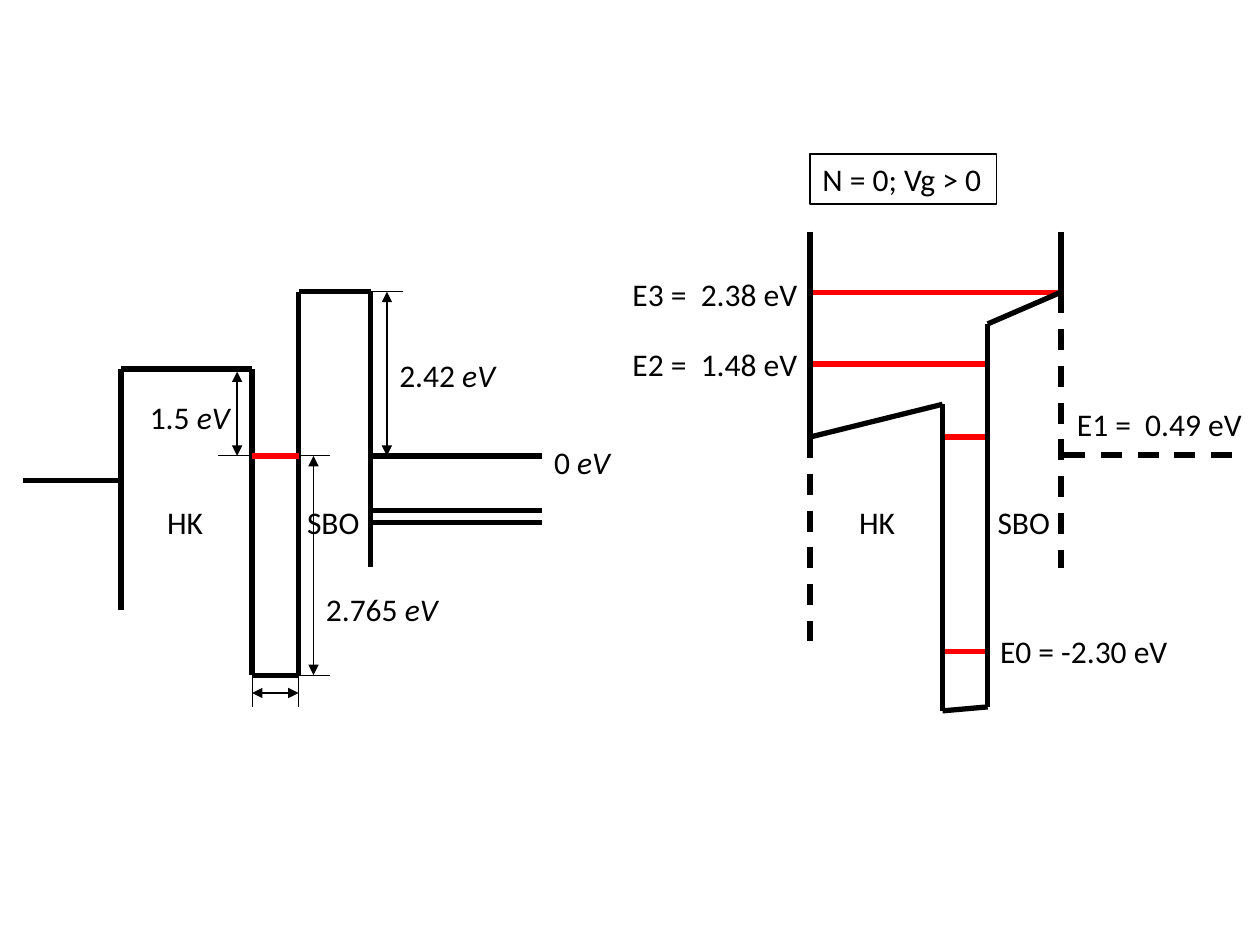
from pptx import Presentation
from pptx.dml.color import RGBColor
from pptx.enum.dml import MSO_LINE
from pptx.enum.shapes import MSO_CONNECTOR, MSO_SHAPE
from pptx.enum.text import MSO_ANCHOR, MSO_AUTO_SIZE, PP_ALIGN
from pptx.oxml.ns import qn
from pptx.util import Cm, Pt
from lxml.etree import SubElement

BLACK, RED, WHITE = "000000", "FF0000", "FFFFFF"
color = RGBColor.from_string

deck = Presentation()
deck.slide_width, deck.slide_height = Cm(25.4), Cm(19.05)
slide = deck.slides.add_slide(deck.slide_layouts[6])
shapes = slide.shapes


def draw(ends, hue=BLACK, width=3, dash=False, arrows=False):
    x1, y1, x2, y2 = map(Cm, ends)
    wire = shapes.add_connector(MSO_CONNECTOR.STRAIGHT, x1, y1, x2, y2)
    wire.line.color.rgb = color(hue)
    wire.line.width = Pt(width)
    if dash:
        wire.line.dash_style = MSO_LINE.DASH
    if arrows:
        for tag in ("a:headEnd", "a:tailEnd"):
            SubElement(wire.line._get_or_add_ln(), qn(tag), type="triangle")
    SubElement(wire._element.spPr, qn("a:effectLst"))


def write(shape, runs):
    frame = shape.text_frame
    frame.word_wrap = False
    frame.auto_size = MSO_AUTO_SIZE.SHAPE_TO_FIT_TEXT
    frame.vertical_anchor = MSO_ANCHOR.TOP
    para = frame.paragraphs[0]
    para.alignment = PP_ALIGN.LEFT
    for text, slant in runs:
        run = para.add_run()
        run.text = text
        font = run.font
        font.name, font.size = "Calibri", Pt(18)
        font.color.rgb = color(BLACK)
        if slant:
            font.italic = True


# Shared positions: flat-band diagram on the left, biased one on the right
gate, well, wall, edge, end = 2.44, 5.08, 6.02, 7.47, 10.92
left, inner, outer, right = 16.33, 19, 19.91, 21.39
top, zero, base, foot = 5.88, 9.19, 13.61, 14.25
rise, peak, drop = 4.67, 7.44, 8.81

# Biased diagram: energy levels
for x1, x2, y in [(outer, left, 7.34), (right, left, 5.89),
                  (outer, inner, 13.13), (outer, inner, drop)]:
    draw((x1, y, x2, y), RED)

# Biased diagram: band edges
for ends in [(right, rise, right, 5.89), (right, 5.89, outer, 6.53),
             (inner, 8.15, left, drop), (outer, foot, inner, 14.33),
             (left, rise, left, drop), (outer, 6.53, outer, foot),
             (inner, 8.15, inner, 14.33)]:
    draw(ends)
for ends in [(right, 5.89, right, 11.46), (left, drop, left, 12.93),
             (24.84, 9.17, right, 9.17)]:
    draw(ends, dash=True)

# Flat-band diagram: band edges
for ends in [(wall, top, wall, base), (edge, top, edge, 11.43),
             (edge, top, wall, top), (gate, 9.68, 0.46, 9.68),
             (well, peak, well, base), (well, peak, gate, peak),
             (wall, base, well, base), (gate, peak, gate, 12.29)]:
    draw(ends)
for y in (zero, 10.29, 10.54):
    draw((end, y, edge, y))
draw((wall, zero, well, zero), RED)

# Flat-band diagram: dimension arrows and their guide lines
for ends in [(7.8, zero, 7.8, top), (well, 13.97, wall, 13.97),
             (6.32, base, 6.32, zero), (4.78, zero, 4.78, 7.49)]:
    draw(ends, width=1, arrows=True)
for ends in [(well, base, well, foot), (wall, base, wall, foot),
             (8.13, top, edge, top), (6.65, zero, wall, zero),
             (6.65, base, wall, base), (well, zero, 4.39, zero)]:
    draw(ends, width=0.5)

# Boxed condition
box = shapes.add_shape(MSO_SHAPE.RECTANGLE, Cm(left), Cm(3.1), Cm(3.76), Cm(1.02))
box.shadow.inherit = False
box.fill.solid()
box.fill.fore_color.rgb = color(WHITE)
box.line.color.rgb = color(BLACK)
box.line.width = Pt(1)
write(box, [("N = 0; Vg > 0", False)])

# Labels: left, top, width, text, unit in italics
for x, y, w, text, unit in [
    (6.32, 11.76, 2.79, "2.765 ", "eV"),
    (2.77, 7.9, 2.13, "1.5 ", "eV"),
    (7.8, 7.06, 2.46, "2.42 ", "eV"),
    (10.92, 8.81, 1.65, "0 ", "eV"),
    (19.91, 12.62, 3.94, "E0 = -2.30 eV", ""),
    (21.46, 8.05, 3.89, "E1 =  0.49 eV", ""),
    (12.5, 6.83, 3.89, "E2 =  1.48 eV", ""),
    (12.5, 5.41, 3.89, "E3 =  2.38 eV", ""),
    (3.12, 10.01, 1.24, "HK", ""),
    (5.94, 10.01, 1.57, "SBO", ""),
    (17.07, 10.01, 1.24, "HK", ""),
    (19.86, 10.01, 1.57, "SBO", ""),
]:
    label = shapes.add_textbox(Cm(x), Cm(y), Cm(w), Cm(1.02))
    write(label, [(text, False)] + ([(unit, True)] if unit else []))

deck.save("out.pptx")
